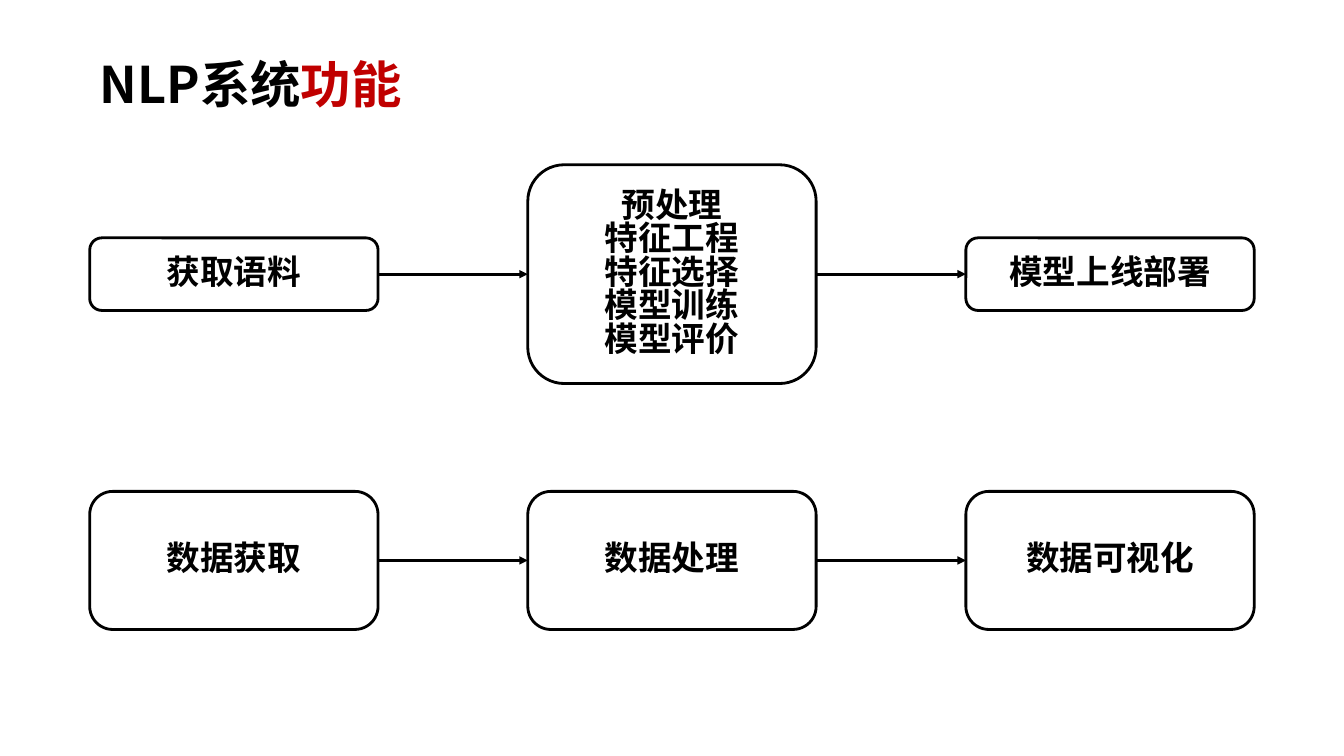
from lxml import etree
from pptx import Presentation
from pptx.dml.color import RGBColor
from pptx.enum.shapes import MSO_CONNECTOR, MSO_SHAPE
from pptx.enum.text import MSO_ANCHOR, PP_ALIGN
from pptx.oxml.ns import qn
from pptx.util import Inches, Pt

ROUNDED = MSO_SHAPE.ROUNDED_RECTANGLE
STRAIGHT = MSO_CONNECTOR.STRAIGHT
MIDDLE = MSO_ANCHOR.MIDDLE
LEFT, CENTER = PP_ALIGN.LEFT, PP_ALIGN.CENTER

# Content
TITLE = [("NLP系统", "ink"), ("功能", "accent")]
# Each row: centre height, then (box height, lines) from left to right
ROWS = [
    (2.72, [
        (0.72, ["获取语料"]),
        (2.17, ["预处理", "特征工程", "特征选择", "模型训练", "模型评价"]),
        (0.72, ["模型上线部署"]),
    ]),
    (5.56, [
        (1.37, ["数据获取"]),
        (1.37, ["数据处理"]),
        (1.37, ["数据可视化"]),
    ]),
]

# Theme and layout
THEME = {
    "font": "Noto Sans CJK SC",
    "ink": RGBColor(0, 0, 0),
    "accent": RGBColor(0xC0, 0, 0),
    "paper": RGBColor(255, 255, 255),
    "title": Pt(36),
    "body": Pt(24),
    "line": Pt(2),
    "spacing": 0.83,
}
MARGIN, BOX_W, PITCH = 0.89, 2.86, 4.345


def add_runs(p, runs, size, align):
    p.alignment = align
    p.line_spacing = THEME["spacing"]
    for text, color in runs:
        r = p.add_run()
        r.text = text
        r.font.size = size
        r.font.bold = True
        r.font.name = THEME["font"]
        r.font.color.rgb = THEME[color]
        ea = etree.SubElement(r.font._element, qn("a:ea"))
        ea.set("typeface", THEME["font"])


def add_box(s, x, center_y, height, lines):
    sp = s.shapes.add_shape(ROUNDED, Inches(x), Inches(center_y - height / 2),
                            Inches(BOX_W), Inches(height))
    sp.shadow.inherit = False
    sp.fill.solid()
    sp.fill.fore_color.rgb = THEME["paper"]
    sp.line.color.rgb = THEME["ink"]
    sp.line.width = THEME["line"]
    tf = sp.text_frame
    tf.word_wrap = True
    tf.vertical_anchor = MIDDLE
    for i, text in enumerate(lines):
        p = tf.add_paragraph() if i else tf.paragraphs[0]
        add_runs(p, [(text, "ink")], THEME["body"], CENTER)


def add_arrow(s, x1, x2, y):
    c = s.shapes.add_connector(STRAIGHT, Inches(x1), Inches(y), Inches(x2), Inches(y))
    c.line.color.rgb = THEME["ink"]
    c.line.width = THEME["line"]
    etree.SubElement(c.line._get_or_add_ln(), qn("a:tailEnd")).set("type", "triangle")
    etree.SubElement(c._element.spPr, qn("a:effectLst"))


def main():
    prs = Presentation()
    prs.slide_width, prs.slide_height = Inches(13.33), Inches(7.5)
    s = prs.slides.add_slide(prs.slide_layouts[6])

    # Title
    tf = s.shapes.add_textbox(Inches(MARGIN), Inches(0.58),
                              Inches(4.83), Inches(0.71)).text_frame
    tf.word_wrap = True
    add_runs(tf.paragraphs[0], TITLE, THEME["title"], LEFT)

    # Two rows of boxes, joined by arrows
    for center_y, boxes in ROWS:
        for i, (height, lines) in enumerate(boxes):
            x = MARGIN + i * PITCH
            add_box(s, x, center_y, height, lines)
            if i:
                add_arrow(s, x - PITCH + BOX_W, x, center_y)

    prs.save("out.pptx")


if __name__ == "__main__":
    main()
